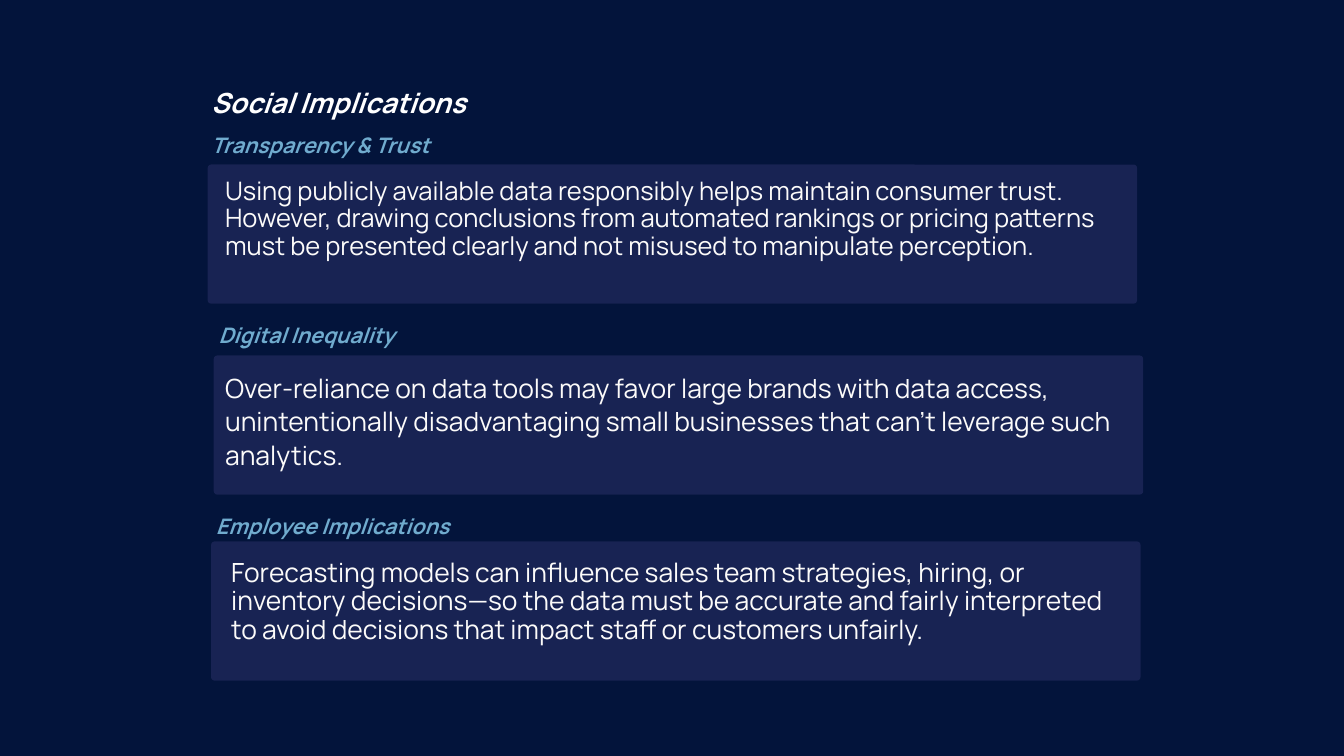
import pptx
import pptx.dml.color
import pptx.enum.shapes
import pptx.enum.text
import pptx.oxml.ns
import pptx.util
import lxml.etree

Cm = pptx.util.Cm
Pt = pptx.util.Pt

FONT = "Manrope"
NAVY = "03143B"
INDIGO = "2A3066"
SKY = "70ABCE"
WHITE = "FFFFFF"
OFF_WHITE = "FCFBFA"

PANEL_WIDTH, PANEL_HEIGHT = 35.13, 5.26
CORNER_RADIUS = 0.13

IMPLICATIONS = [
    {
        "panel": (7.85, 6.22),
        "heading": "Transparency & Trust",
        "heading_box": (0.13, -1.14, 9.73, 0.91),
        "body": "Using publicly available data responsibly helps maintain consumer trust. "
                "However, drawing conclusions from automated rankings or pricing patterns "
                "must be presented clearly and not misused to manipulate perception.",
        "body_box": (0.66, 0.51, 33.53, 4.24),
        "size": 27.3,
        "leading": 29.5,
    },
    {
        "panel": (8.08, 13.44),
        "heading": "Digital Inequality",
        "heading_box": (0.18, -1.17, 8.59, 0.91),
        "body": "Over-reliance on data tools may favor large brands with data access, "
                "unintentionally disadvantaging small businesses that can't leverage such "
                "analytics.",
        "body_box": (0.43, 0.58, 34.44, 3.81),
        "size": 28.3,
        "leading": 35.6,
    },
    {
        "panel": (7.98, 20.47),
        "heading": "Employee Implications",
        "heading_box": (0.18, -0.99, 9.55, 0.91),
        "body": "Forecasting models can influence sales team strategies, hiring, or "
                "inventory decisions—so the data must be accurate and fairly interpreted "
                "to avoid decisions that impact staff or customers unfairly.",
        "body_box": (0.76, 0.66, 33.99, 4.34),
        "size": 28.3,
        "leading": 30.6,
    },
]


def set_fill(fill, color, opacity=100):
    fill.solid()
    fill.fore_color.rgb = pptx.dml.color.RGBColor.from_string(color)
    if opacity < 100:
        srgb = fill._xPr.find(".//" + pptx.oxml.ns.qn("a:srgbClr"))
        alpha = lxml.etree.SubElement(srgb, pptx.oxml.ns.qn("a:alpha"))
        alpha.set("val", str(opacity * 1000))


def write_text(frame, text, size, leading, color, emphasis=False):
    frame.word_wrap = True
    frame.auto_size = pptx.enum.text.MSO_AUTO_SIZE.NONE
    frame.vertical_anchor = pptx.enum.text.MSO_ANCHOR.TOP
    frame.margin_left = frame.margin_right = 0
    frame.margin_top = frame.margin_bottom = 0
    frame.text = text
    paragraph = frame.paragraphs[0]
    paragraph.alignment = pptx.enum.text.PP_ALIGN.LEFT
    paragraph.line_spacing = Pt(leading)
    paragraph.space_before = Pt(0)
    font = paragraph.runs[0].font
    font.name = FONT
    font.size = Pt(size)
    font.bold = font.italic = emphasis
    font.color.rgb = pptx.dml.color.RGBColor.from_string(color)


def place_title(slide, left, top, width, height):
    title = slide.shapes.title
    title.left, title.top = Cm(left), Cm(top)
    title.width, title.height = Cm(width), Cm(height)
    write_text(title.text_frame, "Social Implications", 29.7, 32, WHITE, True)


def add_text(slide, origin, box, *style):
    left, top, width, height = box
    label = slide.shapes.add_textbox(
        Cm(origin[0] + left), Cm(origin[1] + top), Cm(width), Cm(height))
    write_text(label.text_frame, *style)


def add_implication(slide, implication):
    left, top = origin = implication["panel"]
    panel = slide.shapes.add_shape(
        pptx.enum.shapes.MSO_SHAPE.ROUNDED_RECTANGLE,
        Cm(left), Cm(top), Cm(PANEL_WIDTH), Cm(PANEL_HEIGHT))
    panel.adjustments[0] = CORNER_RADIUS / PANEL_HEIGHT
    panel.shadow.inherit = False
    panel.line.fill.background()
    set_fill(panel.fill, INDIGO, 56)
    add_text(slide, origin, implication["heading_box"],
             implication["heading"], 22.9, 24.8, SKY, True)
    add_text(slide, origin, implication["body_box"], implication["body"],
             implication["size"], implication["leading"], OFF_WHITE)


def main():
    deck = pptx.Presentation()
    deck.slide_width, deck.slide_height = Cm(50.8), Cm(28.58)
    slide = deck.slides.add_slide(deck.slide_layouts.get_by_name("Title Only"))
    set_fill(slide.background.fill, NAVY)
    place_title(slide, 7.98, 3.38, 10.87, 1.22)
    for implication in IMPLICATIONS:
        add_implication(slide, implication)
    deck.save("out.pptx")


if __name__ == "__main__":
    main()
